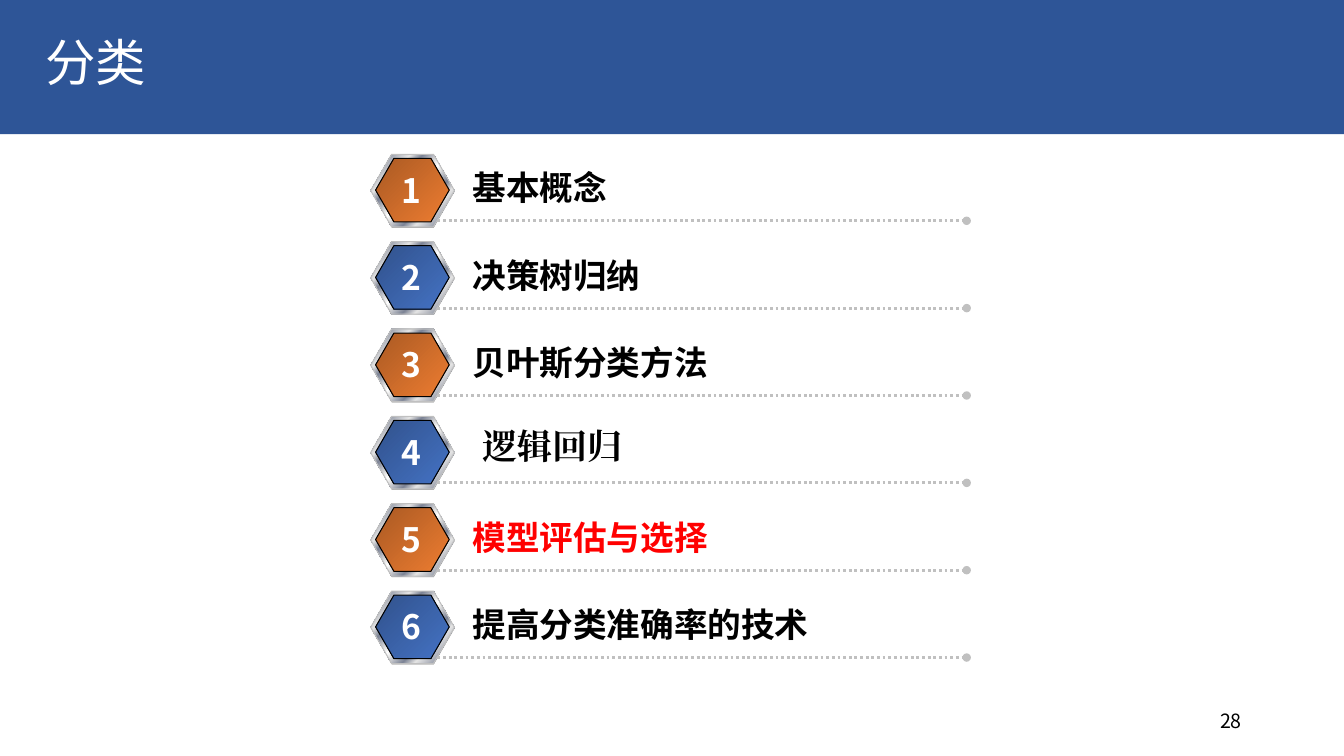
from lxml import etree
from pptx import Presentation
from pptx.dml.color import RGBColor
from pptx.enum.dml import MSO_LINE
from pptx.enum.shapes import MSO_CONNECTOR, MSO_SHAPE
from pptx.enum.text import MSO_ANCHOR, MSO_AUTO_SIZE, PP_ALIGN
from pptx.oxml.ns import qn
from pptx.util import Pt

RECT = MSO_SHAPE.RECTANGLE
HEX = MSO_SHAPE.HEXAGON
LINE = MSO_CONNECTOR.STRAIGHT
DOTS = MSO_LINE.ROUND_DOT
TOP = MSO_ANCHOR.TOP
MIDDLE = MSO_ANCHOR.MIDDLE
GROW = MSO_AUTO_SIZE.SHAPE_TO_FIT_TEXT
FIXED = MSO_AUTO_SIZE.NONE
LEFT = PP_ALIGN.LEFT
CENTER = PP_ALIGN.CENTER
RIGHT = PP_ALIGN.RIGHT
JUSTIFY = PP_ALIGN.JUSTIFY

WHITE = RGBColor(0xFF, 0xFF, 0xFF)
BLACK = RGBColor(0, 0, 0)
RED = RGBColor(0xFF, 0, 0)
NAVY = RGBColor(0x2E, 0x55, 0x97)
GRAY = RGBColor(0x80, 0x80, 0x80)
SILVER = RGBColor(0xC0, 0xC0, 0xC0)
PALE = RGBColor(0xE6, 0xE6, 0xE6)
STEEL = RGBColor(0x7D, 0x84, 0x96)
BROWN = RGBColor(0xAA, 0x59, 0x23)
ORANGE = RGBColor(0xED, 0x7D, 0x31)
DEEP = RGBColor(0x31, 0x52, 0x8C)
BLUE = RGBColor(0x44, 0x72, 0xC4)

METAL = [(0, PALE), (8, STEEL), (26, PALE), (34, STEEL), (46, PALE), (50, WHITE),
         (54, PALE), (66, STEEL), (74, PALE), (92, STEEL), (100, PALE)]
WARM = [(0, BROWN), (100, ORANGE)]
COOL = [(0, DEEP), (100, BLUE)]

SANS = "Noto Sans CJK SC"
TOPICS = ["基本概念", "决策树归纳", "贝叶斯分类方法", "逻辑回归",
          "模型评估与选择", "提高分类准确率的技术"]
CURRENT = 5
SERIF = 4
START = 110.2
PITCH = 62.4


class Deck:
    def __init__(self):
        self.file = Presentation()
        self.file.slide_width = Pt(960)
        self.file.slide_height = Pt(540)
        self.slide = self.file.slides.add_slide(self.file.slide_layouts[6])

    def shape(self, kind, x, y, w, h, fill, edge=None):
        item = self.slide.shapes.add_shape(kind, Pt(x), Pt(y), Pt(w), Pt(h))
        item.shadow.inherit = False
        if isinstance(fill, list):
            self.blend(item, fill)
        else:
            item.fill.solid()
            item.fill.fore_color.rgb = fill
        if edge is None:
            item.line.fill.background()
        else:
            item.line.color.rgb = edge
            item.line.width = Pt(0.75)
        return item

    def blend(self, item, stops):
        item.fill.gradient()
        item.fill.gradient_angle = 315
        group = next(item._element.spPr.iter(qn("a:gsLst")))
        for old in list(group):
            group.remove(old)
        for place, color in stops:
            stop = etree.SubElement(group, qn("a:gs"), pos=str(place * 1000))
            etree.SubElement(stop, qn("a:srgbClr"), val=str(color))

    def hexagon(self, x, y, w, h, fill, edge=None):
        item = self.shape(HEX, x, y, w, h, fill, edge)
        item.adjustments[0] = 0.289
        item.adjustments[1] = 1.155

    def rule(self, x, y, end):
        item = self.slide.shapes.add_connector(LINE, Pt(x), Pt(y), Pt(end), Pt(y))
        item.line.color.rgb = SILVER
        item.line.width = Pt(2)
        item.line.dash_style = DOTS
        etree.SubElement(item.line._ln, qn("a:tailEnd"), type="oval")
        etree.SubElement(item._element.spPr, qn("a:effectLst"))

    def text(self, words, x, y, w, h, size, color, font=SANS, bold=False,
             align=LEFT, anchor=TOP, wrap=False, space=1.0):
        box = self.slide.shapes.add_textbox(Pt(x), Pt(y), Pt(w), Pt(h))
        frame = box.text_frame
        frame.word_wrap = wrap
        frame.auto_size = FIXED if wrap else GROW
        frame.vertical_anchor = anchor
        para = frame.paragraphs[0]
        para.alignment = align
        para.line_spacing = space
        run = para.add_run()
        run.text = words
        run.font.name = font
        run.font.size = Pt(size)
        run.font.bold = bold
        run.font.color.rgb = color
        etree.SubElement(run.font._element, qn("a:ea"), typeface=font)

    def topic(self, number, words):
        y = START + (number - 1) * PITCH
        self.hexagon(265, y + 0.6, 59.8, 51.8, GRAY)
        self.hexagon(264.8, y, 59.8, 51.8, METAL, SILVER)
        self.hexagon(268.3, y + 2.9, 52.6, 45.4, WARM if number % 2 else COOL, BLACK)
        self.rule(312.5, y + 47.5, 690.5)
        if number == SERIF:
            self.text(words, 337.7, y + 2.1, 115, 37.4, 25, BLACK,
                      font="Times New Roman", bold=True, align=JUSTIFY)
        else:
            color = RED if number == CURRENT else BLACK
            self.text(words, 330.5, y + 5.6, 24 * len(words) + 15, 36.7, 24, color, bold=True)
        self.text(str(number), 279.4, y + 7.3, 26.6, 36.7, 24, WHITE, bold=True, align=CENTER)


def main():
    deck = Deck()
    deck.shape(RECT, -2, -0.7, 965.5, 96.5, NAVY)
    deck.text("28", 678.2, 500.4, 216, 28.8, 14, BLACK,
              align=RIGHT, anchor=MIDDLE, wrap=True)
    deck.text("分类", 25.2, 10.8, 815.8, 72, 36, WHITE, font="Arial",
              anchor=MIDDLE, wrap=True, space=0.9)
    for number, words in enumerate(TOPICS, 1):
        deck.topic(number, words)
    deck.file.save("out.pptx")


if __name__ == "__main__":
    main()
